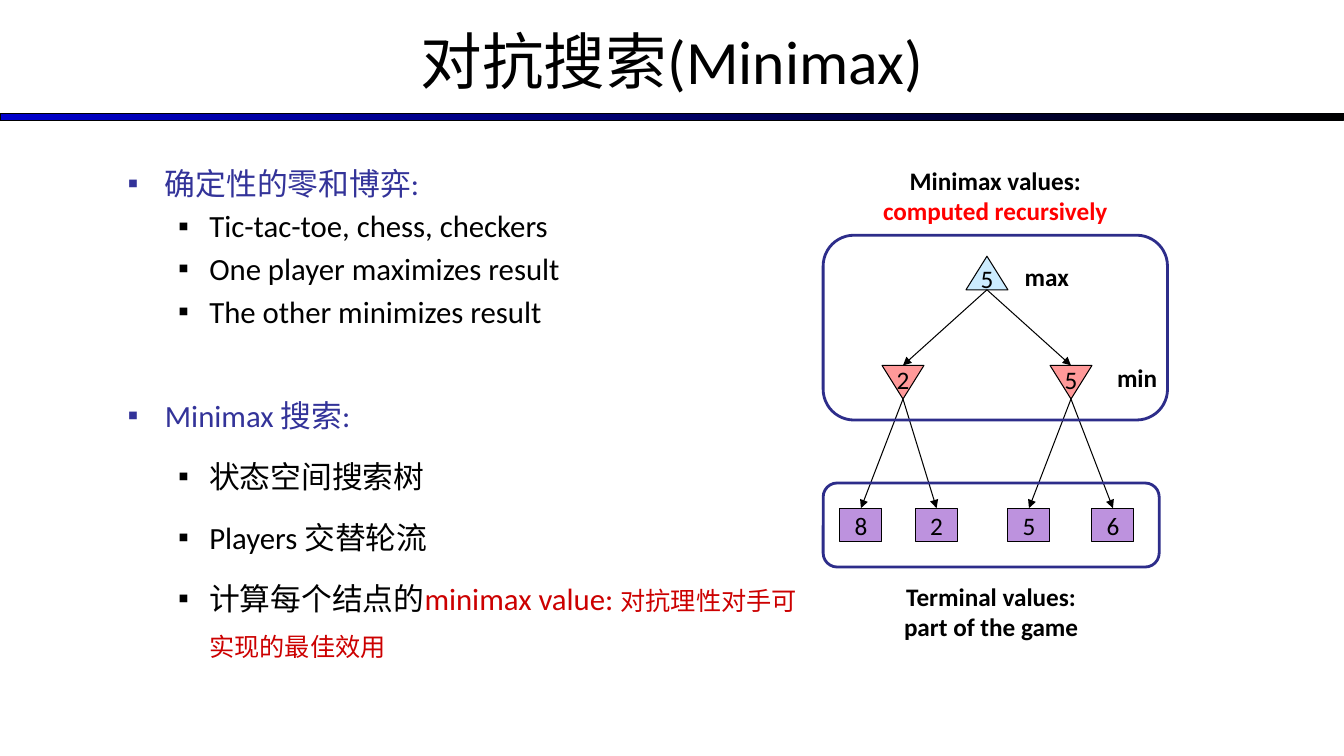
from dataclasses import dataclass

from lxml import etree
from pptx import Presentation
from pptx.dml.color import RGBColor
from pptx.enum.shapes import MSO_CONNECTOR, MSO_SHAPE
from pptx.enum.text import MSO_ANCHOR, MSO_AUTO_SIZE, PP_ALIGN
from pptx.oxml.ns import qn
from pptx.shapes.autoshape import Shape
from pptx.slide import Slide
from pptx.text.text import TextFrame, _Paragraph, _Run
from pptx.util import Emu, Inches, Pt

RECTANGLE = MSO_SHAPE.RECTANGLE
ROUNDED = MSO_SHAPE.ROUNDED_RECTANGLE
TRIANGLE = MSO_SHAPE.ISOSCELES_TRIANGLE
STRAIGHT = MSO_CONNECTOR.STRAIGHT
MIDDLE = MSO_ANCHOR.MIDDLE
CENTER = PP_ALIGN.CENTER
NO_AUTOFIT = MSO_AUTO_SIZE.NONE

BLACK = RGBColor(0x00, 0x00, 0x00)
BLUE = RGBColor(0x00, 0x00, 0xCC)
INDIGO = RGBColor(0x33, 0x33, 0x99)
NAVY = RGBColor(0x2D, 0x2D, 0x8A)
CRIMSON = RGBColor(0xCC, 0x00, 0x00)
RED = RGBColor(0xFF, 0x00, 0x00)
SKY = RGBColor(0xCC, 0xEC, 0xFF)
PINK = RGBColor(0xFF, 0x99, 0x99)
PURPLE = RGBColor(0xBD, 0x92, 0xDE)

FONT = "Calibri"
COLUMNS, ROWS = 160, 90
CELL = Inches(7.5) / ROWS
NODE_WIDTH, NODE_HEIGHT = 5, 4
LEAF_ROW = 60.5


@dataclass(frozen=True)
class Area:
    column: float
    row: float
    columns: float
    rows: float


@dataclass(frozen=True)
class Span:
    text: str
    color: RGBColor
    size: float = 22


@dataclass(frozen=True)
class Item:
    spans: tuple[Span, ...]
    level: int = 1
    spacing: float = 1.0
    before: float = 4


@dataclass(frozen=True)
class Leaf:
    value: str
    column: float


@dataclass(frozen=True)
class Node:
    value: str
    column: float
    row: float
    color: RGBColor
    rotation: float
    value_row: float

    @property
    def middle(self) -> float:
        return self.column + NODE_WIDTH / 2


@dataclass(frozen=True)
class Caption:
    text: str
    area: Area
    last_color: RGBColor = BLACK


ITEMS = (
    Item((Span("确定性的零和博弈:", INDIGO),), level=0, before=0),
    Item((Span("Tic-tac-toe, chess, checkers", BLACK),)),
    Item((Span("One player maximizes result", BLACK),)),
    Item((Span("The other minimizes result", BLACK),)),
    Item((Span("Minimax 搜索:", INDIGO),), level=0, spacing=1.5, before=35),
    Item((Span("状态空间搜索树", BLACK),), spacing=1.5),
    Item((Span("Players 交替轮流", BLACK),), spacing=1.5),
    Item((Span("计算每个结点的", BLACK), Span("minimax value: ", CRIMSON),
          Span("对抗理性对手可实现的最佳效用", CRIMSON, 18)), spacing=1.5),
)
INDENTS = ((0.37, -0.37), (0.81, -0.31))

ROOT = Node("5", 115, 30.5, SKY, 0, 30.8)
BRANCHES = {
    Node("2", 105, 43.5, PINK, 180, 42.8): (Leaf("8", 100), Leaf("2", 109)),
    Node("5", 125, 43.5, PINK, 180, 42.8): (Leaf("5", 120), Leaf("6", 130)),
}
PANELS = (Area(98, 57.5, 40, 10), Area(98, 28, 41, 22))
CAPTIONS = (
    Caption("max", Area(120.25, 30.5, 8.75, 4.8)),
    Caption("min", Area(131, 42.5, 8.75, 4.8)),
    Caption("Terminal values:\vpart of the game", Area(98, 68.5, 40, 8.5)),
    Caption("Minimax values:\vcomputed recursively", Area(98, 19, 41, 8.5), RED),
)


def grid(cells: float) -> Emu:
    return Emu(round(cells * CELL))


def bounds(area: Area) -> tuple[Emu, Emu, Emu, Emu]:
    return grid(area.column), grid(area.row), grid(area.columns), grid(area.rows)


def place(shape: Shape, area: Area) -> None:
    shape.left, shape.top, shape.width, shape.height = bounds(area)


def format_run(run: _Run, size: float, color: RGBColor, bold: bool = False) -> None:
    run.font.name = FONT
    run.font.size = Pt(size)
    run.font.color.rgb = color
    run.font.bold = bold


def center_text(frame: TextFrame, text: str, size: float = 18, bold: bool = False) -> _Paragraph:
    frame.text = text
    frame.vertical_anchor = MIDDLE
    para = frame.paragraphs[0]
    para.alignment = CENTER
    for run in para.runs:
        format_run(run, size, BLACK, bold)
    return para


def add_bullet(para: _Paragraph, level: int, color: RGBColor) -> None:
    properties = para._p.get_or_add_pPr()
    margin, indent = INDENTS[level]
    properties.set("marL", str(Inches(margin)))
    properties.set("indent", str(Inches(indent)))
    bullet_color = etree.SubElement(properties, qn("a:buClr"))
    etree.SubElement(bullet_color, qn("a:srgbClr"), val=str(color))
    etree.SubElement(properties, qn("a:buChar"), char="▪")


def fill_list(frame: TextFrame) -> None:
    frame.auto_size = NO_AUTOFIT
    for index, item in enumerate(ITEMS):
        para = frame.add_paragraph() if index else frame.paragraphs[0]
        para.level = item.level
        add_bullet(para, item.level, item.spans[0].color)
        para.line_spacing = item.spacing
        para.space_before = Pt(item.before)
        for span in item.spans:
            run = para.add_run()
            run.text = span.text
            format_run(run, span.size, span.color)


def add_box(slide: Slide, kind: MSO_SHAPE, area: Area, fill: RGBColor | None,
            line: RGBColor = BLACK, width: float = 0.75) -> Shape:
    box = slide.shapes.add_shape(kind, *bounds(area))
    box.shadow.inherit = False
    if fill is None:
        box.fill.background()
    else:
        box.fill.solid()
        box.fill.fore_color.rgb = fill
    box.line.color.rgb = line
    box.line.width = Pt(width)
    return box


def add_label(slide: Slide, area: Area, text: str, bold: bool = False) -> _Paragraph:
    box = slide.shapes.add_textbox(*bounds(area))
    box.text_frame.word_wrap = bold
    return center_text(box.text_frame, text, bold=bold)


def add_node(slide: Slide, node: Node) -> None:
    area = Area(node.column, node.row, NODE_WIDTH, NODE_HEIGHT)
    add_box(slide, TRIANGLE, area, node.color).rotation = node.rotation
    add_label(slide, Area(node.column, node.value_row, NODE_WIDTH, 4.8), node.value)


def add_arrow(slide: Slide, parent: Node, column: float, row: float, leaf: Shape | None = None) -> None:
    arrow = slide.shapes.add_connector(STRAIGHT, grid(parent.middle), grid(parent.row + NODE_HEIGHT),
                                       grid(column), grid(row))
    arrow.line.color.rgb = BLACK
    arrow.line.width = Pt(0.75)
    etree.SubElement(arrow.line._get_or_add_ln(), qn("a:tailEnd"), type="triangle")
    etree.SubElement(arrow._element.spPr, qn("a:effectLst"))
    if leaf is not None:
        arrow.end_connect(leaf, 0)


def add_tree(slide: Slide) -> None:
    add_node(slide, ROOT)
    for branch, leaves in BRANCHES.items():
        add_node(slide, branch)
        add_arrow(slide, ROOT, branch.middle, branch.row)
        for leaf in leaves:
            box = add_box(slide, RECTANGLE, Area(leaf.column, LEAF_ROW, NODE_WIDTH, NODE_HEIGHT), PURPLE)
            box.text_frame.word_wrap = False
            center_text(box.text_frame, leaf.value)
            add_arrow(slide, branch, leaf.column + NODE_WIDTH / 2, LEAF_ROW, box)


def main() -> None:
    deck = Presentation()
    deck.slide_width, deck.slide_height = grid(COLUMNS), grid(ROWS)
    page = deck.slides.add_slide(deck.slide_layouts[1])
    title, body = page.placeholders
    place(title, Area(0, -0.36, COLUMNS, 15))
    center_text(title.text_frame, "对抗搜索(Minimax)", 44)
    place(body, Area(14, 19, 83, 59.5))
    fill_list(body.text_frame)
    bar = add_box(page, RECTANGLE, Area(0, 13.5, COLUMNS, 0.85), BLUE)
    bar.fill.gradient()
    bar.fill.gradient_angle = 0
    for stop, color in zip(bar.fill.gradient_stops, (BLUE, BLACK)):
        stop.color.rgb = color
    add_tree(page)
    for panel in PANELS:
        add_box(page, ROUNDED, panel, None, NAVY, 2)
    for caption in CAPTIONS:
        para = add_label(page, caption.area, caption.text, bold=True)
        para.runs[-1].font.color.rgb = caption.last_color
    deck.save("out.pptx")


if __name__ == "__main__":
    main()
